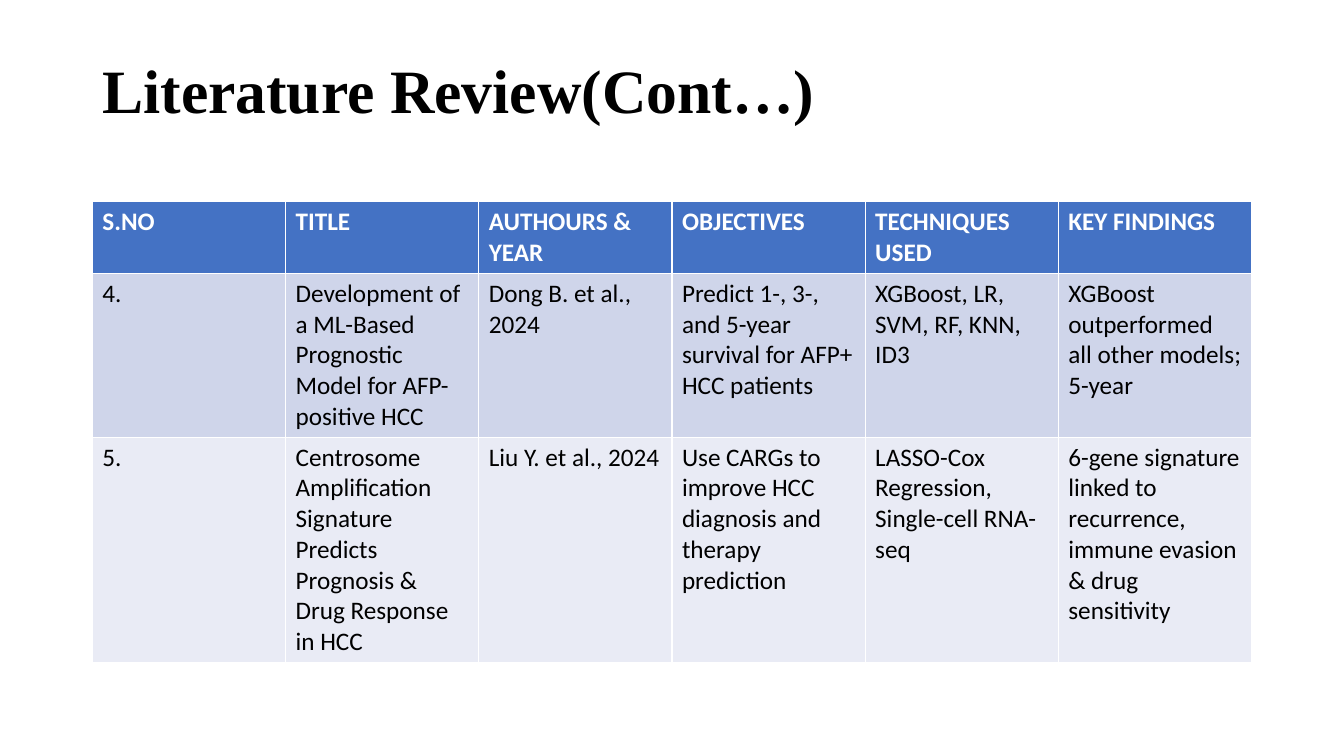
from pptx import Presentation
from pptx import util as u
from pptx.dml.color import RGBColor
from pptx.enum import text

WHITE = RGBColor(0xFF, 0xFF, 0xFF)
BLACK = RGBColor(0x00, 0x00, 0x00)
HEADER = RGBColor(0x44, 0x72, 0xC4)
BANDS = [RGBColor(0xCF, 0xD5, 0xEA), RGBColor(0xE9, 0xEB, 0xF5)]

STUDIES = [
    ["S.NO", "TITLE", "AUTHOURS & YEAR", "OBJECTIVES", "TECHNIQUES USED", "KEY FINDINGS"],
    ["4.", "Development of a ML-Based Prognostic Model for AFP-positive HCC",
     "Dong B. et al., 2024",
     "Predict 1-, 3-, and 5-year survival for AFP+ HCC patients",
     "XGBoost, LR, SVM, RF, KNN, ID3",
     "XGBoost outperformed all other models; 5-year"],
    ["5.", "Centrosome Amplification Signature Predicts Prognosis & Drug Response in HCC",
     "Liu Y. et al., 2024",
     "Use CARGs to improve HCC diagnosis and therapy prediction",
     "LASSO-Cox Regression, Single-cell RNA-seq",
     "6-gene signature linked to recurrence, immune evasion & drug sensitivity"],
]
ROW_HEIGHTS = [50, 117, 161]


def write(tf, content, size=18, font="Calibri", color=BLACK, bold=False, spacing=None):
    """Put one left-aligned, formatted paragraph in a text frame."""
    p = tf.paragraphs[0]
    p.alignment = text.PP_ALIGN.LEFT
    p.line_spacing = spacing
    r = p.add_run()
    r.text = content
    r.font.size = u.Pt(size)
    r.font.name = font
    r.font.bold = bold
    r.font.color.rgb = color


def add_title(s, content, left, top, width, height):
    """Place and format the title placeholder."""
    sp = s.shapes.title
    sp.left, sp.top, sp.width, sp.height = map(u.Pt, (left, top, width, height))
    tf = sp.text_frame
    tf.word_wrap = True
    tf.vertical_anchor = text.MSO_ANCHOR.MIDDLE
    write(tf, content, size=44, font="Times New Roman", bold=True, spacing=0.9)


def add_review_table(s, rows, left, top, width):
    """Draw the studies as a table with equal columns, a header and banded rows."""
    cols = len(rows[0])
    frame = s.shapes.add_table(len(rows), cols, u.Pt(left), u.Pt(top),
                               u.Pt(width), u.Pt(sum(ROW_HEIGHTS)))
    table = frame.table
    for col in table.columns:
        col.width = u.Pt(width / cols)
    for i, row in enumerate(rows):
        table.rows[i].height = u.Pt(ROW_HEIGHTS[i])
        is_header = i == 0
        for j, content in enumerate(row):
            cell = table.cell(i, j)
            cell.fill.solid()
            cell.fill.fore_color.rgb = HEADER if is_header else BANDS[(i - 1) % 2]
            write(cell.text_frame, content, bold=is_header,
                  color=WHITE if is_header else BLACK)


def main():
    """Build the literature review slide and save it."""
    prs = Presentation()
    prs.slide_width, prs.slide_height = u.Pt(960), u.Pt(540)
    s = prs.slides.add_slide(prs.slide_layouts[5])
    add_title(s, "Literature Review(Cont…)", 66, 28.75, 828, 75.6)
    add_review_table(s, STUDIES, 66, 144, 828)
    prs.save("out.pptx")


if __name__ == "__main__":
    main()
